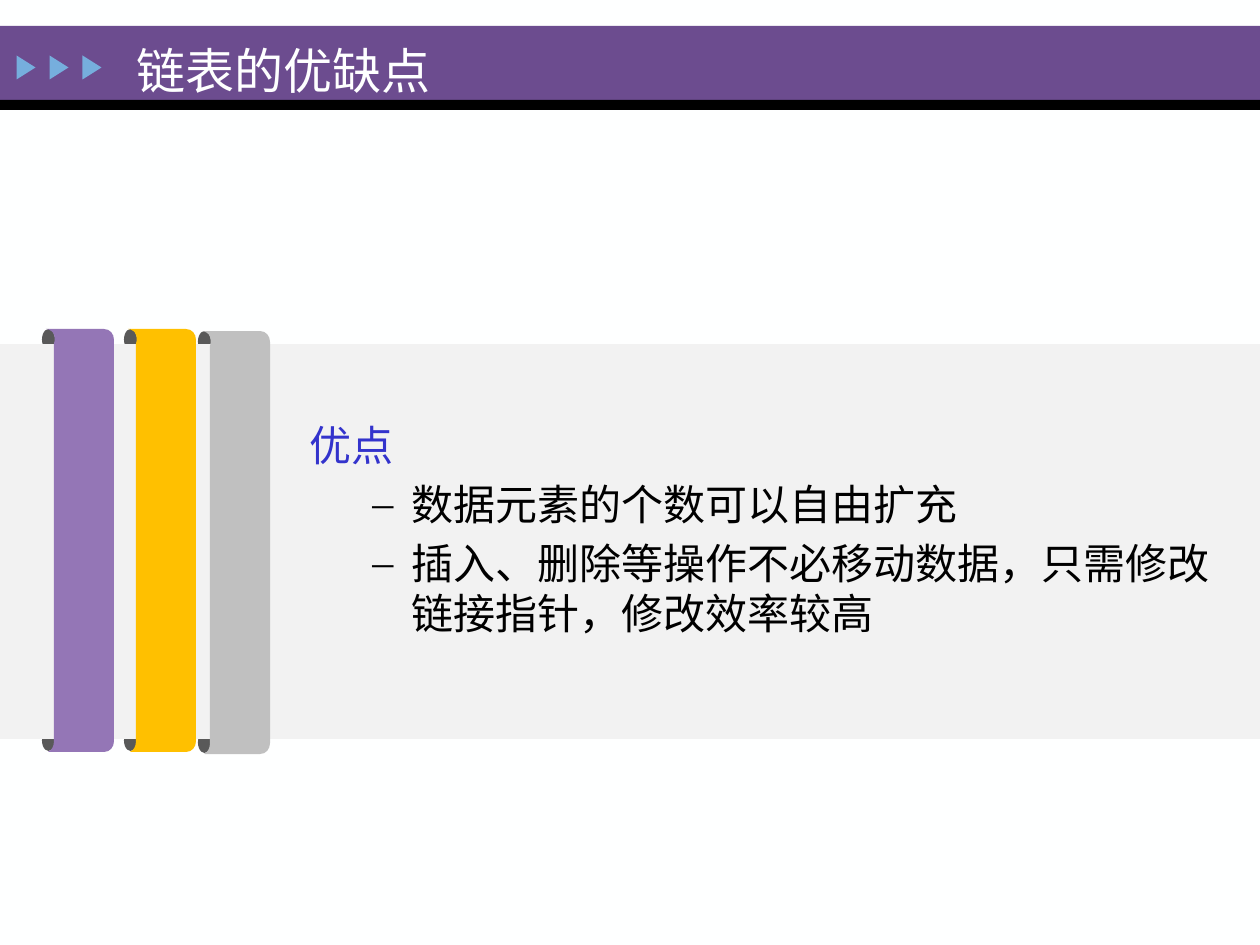
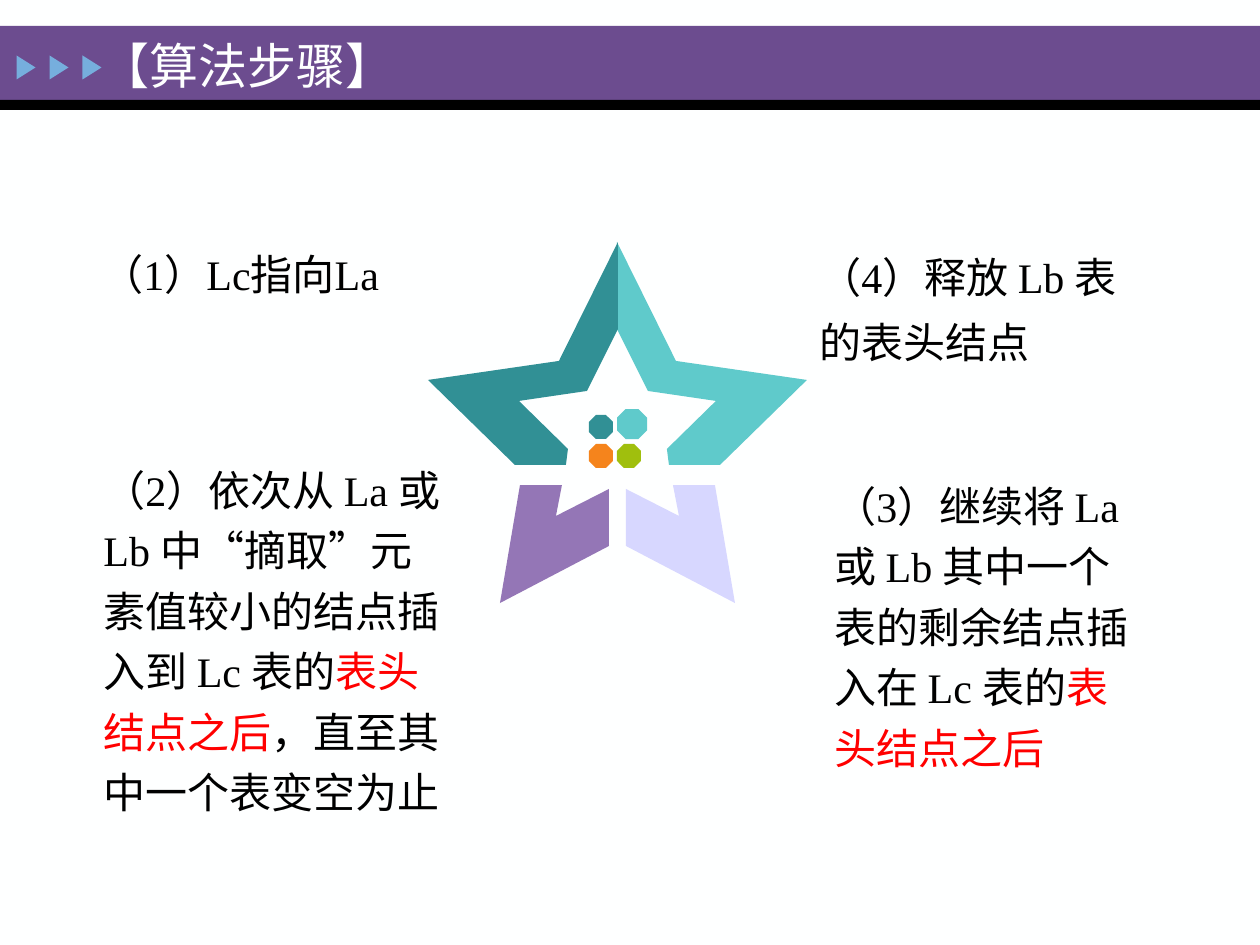
from dataclasses import dataclass

from pptx import Presentation
from pptx.dml.color import RGBColor
from pptx.enum.shapes import MSO_SHAPE as Shape
from pptx.enum.text import MSO_ANCHOR as Anchor, MSO_AUTO_SIZE as AutoSize, PP_ALIGN as Align
from pptx.oxml.ns import qn
from pptx.util import Emu, Pt

PX_PER_INCH = 126
TITLE_ONLY = 5

# Each segment holds one point for a line or three for a cubic curve.
RIBBON = [
    [(9, 15)], [(13, 0), (0, 0), (1, 0)],
    [(59, 0)], [(65, 0), (69, 5), (69, 11)],
    [(69, 412)], [(69, 418), (65, 423), (59, 423)],
    [(4, 423)], [(0, 423), (9, 423), (9, 412)],
]


def px(length):
    return Emu(round(length * 914400 / PX_PER_INCH))


@dataclass(frozen=True)
class Theme:
    font: str = "Times New Roman"
    title_size: int = 28
    body_size: int = 24
    paper: str = "FEFFFF"
    ink: str = "000000"
    band: str = "6C4C8F"
    arrow: str = "76AEDD"
    panel: str = "F2F2F2"
    curl: str = "595959"
    heading: str = "3333CC"
    accent: str = "FF0000"
    purple: str = "9476B6"
    lavender: str = "D7D7FF"
    amber: str = "FFC000"
    silver: str = "C0C0C0"
    aqua: str = "5FCACB"
    teal: str = "319095"
    orange: str = "F5841C"
    green: str = "A0BF0D"


class SlideMaker:
    def __init__(self, theme):
        self.theme = theme
        self.deck = Presentation()
        self.deck.slide_width, self.deck.slide_height = px(1260), px(945)
        self.layout = self.deck.slide_layouts[TITLE_ONLY]
        self.page = None

    def paint(self, shape, color):
        shape.fill.solid()
        shape.fill.fore_color.rgb = RGBColor.from_string(color)
        shape.line.fill.background()
        shape.shadow.inherit = False
        return shape

    def shape(self, kind, left, top, width, height, color):
        box = self.page.shapes.add_shape(kind, px(left), px(top), px(width), px(height))
        return self.paint(box, color)

    def outline(self, points, color):
        corners = [(px(x), px(y)) for x, y in points]
        builder = self.page.shapes.build_freeform(*corners[0], scale=1.0)
        builder.add_line_segments(corners[1:], close=True)
        return self.paint(builder.convert_to_shape(), color)

    def ribbon(self, left, top, color):
        """Draw the ribbon as lines, then join each curve's three lines into one."""
        points = [(left + x, top + y) for segment in RIBBON for x, y in segment]
        band = self.outline(points, color)
        lines = list(band._element.iter(qn("a:lnTo")))
        start = 0
        for segment in RIBBON[1:]:
            group = lines[start:start + len(segment)]
            start += len(segment)
            if len(group) == 3:
                curve = group[0].makeelement(qn("a:cubicBezTo"), {})
                group[0].addprevious(curve)
                for line in group:
                    curve.append(line[0])
                    line.getparent().remove(line)

    def span(self, para, text, color, size=None):
        run = para.add_run()
        run.text = text
        run.font.name = self.theme.font
        run.font.size = Pt(size or self.theme.body_size)
        run.font.color.rgb = RGBColor.from_string(color)

    def textbox(self, left, top, width, height):
        box = self.page.shapes.add_textbox(px(left), px(top), px(width), px(height))
        box.text_frame.word_wrap = True
        return box.text_frame

    def dash_bullet(self, para, margin, hanging):
        properties = para._p.get_or_add_pPr()
        properties.set("lvl", "1")
        properties.set("marL", str(px(margin)))
        properties.set("indent", str(-px(hanging)))
        for tag, attributes in (("a:buFont", {"typeface": self.theme.font}),
                                ("a:buChar", {"char": "–"})):
            properties.append(properties.makeelement(qn(tag), attributes))

    def draw_frame(self):
        """Draw the header band and arrows, then hand them to the layout."""
        fill = self.layout.background.fill
        fill.solid()
        fill.fore_color.rgb = RGBColor.from_string(self.theme.paper)
        parts = [
            self.shape(Shape.RECTANGLE, 0, 26, 1260, 74, self.theme.band),
            self.shape(Shape.RECTANGLE, 0, 100, 1260, 10, self.theme.ink),
        ]
        for index in range(3):
            arrow = self.shape(Shape.ISOSCELES_TRIANGLE, 14 + 33 * index, 58, 24, 19,
                               self.theme.arrow)
            arrow.rotation = 90
            parts.append(arrow)
        for number, part in enumerate(parts, start=20):
            part._element.nvSpPr.cNvPr.set("id", str(number))
            self.layout.shapes._spTree.append(part._element)

    def start_page(self, title, left, top, width, height):
        first = len(self.deck.slides) == 0
        self.page = self.deck.slides.add_slide(self.layout)
        if first:
            self.draw_frame()
        box = self.page.shapes.title
        box.left, box.top, box.width, box.height = map(px, (left, top, width, height))
        frame = box.text_frame
        frame.auto_size = AutoSize.NONE
        frame.vertical_anchor = Anchor.MIDDLE
        para = frame.paragraphs[0]
        para.alignment = Align.LEFT
        self.span(para, title, self.theme.paper, self.theme.title_size)


def add_advantages_page(maker):
    theme = maker.theme
    maker.start_page("链表的优缺点", 124, 23, 719, 94)
    ribbons = [(45, 329, theme.purple), (127, 329, theme.amber), (201, 331, theme.silver)]

    for left, top, _ in ribbons:
        for drop in (0, 401):
            maker.shape(Shape.OVAL, left - 3, top + drop, 13, 21, theme.curl)
    maker.shape(Shape.RECTANGLE, 0, 344, 1260, 395, theme.panel)
    for left, top, color in ribbons:
        maker.ribbon(left, top, color)

    frame = maker.textbox(297, 413, 935, 256)
    maker.span(frame.paragraphs[0], "优点", theme.heading)
    for text in ("数据元素的个数可以自由扩充",
                 "插入、删除等操作不必移动数据，只需修改链接指针，修改效率较高"):
        para = frame.add_paragraph()
        para.space_before = Pt(5)
        maker.dash_bullet(para, margin=102, hanging=39)
        maker.span(para, text, theme.ink)


def add_star(maker):
    theme = maker.theme
    mirror_sum = 1235
    leg = [(626, 489), (626, 546), (735, 603), (715, 485), (673, 485), (679, 516)]
    arm = [(676, 361), (617, 242), (617, 329), (648, 391), (716, 401),
           (667, 449), (669, 465), (720, 465), (807, 380)]
    for half, right_color, left_color in ((leg, theme.lavender, theme.purple),
                                          (arm, theme.aqua, theme.teal)):
        maker.outline(half, right_color)
        maker.outline([(mirror_sum - x, y) for x, y in half], left_color)

    for left, top, size, color in ((589, 415, 24, theme.teal), (617, 409, 30, theme.aqua),
                                   (589, 444, 24, theme.orange), (617, 444, 24, theme.green)):
        dot = maker.shape(Shape.OCTAGON, left, top, size, size, color)
        dot.adjustments[0] = 0.29


def add_steps_page(maker):
    theme = maker.theme
    maker.start_page("【算法步骤】", 88, 23, 530, 83)
    ink, accent = theme.ink, theme.accent
    steps = [
        ((89, 242, 347, 64), None, [("（1）Lc指向La", ink)]),
        ((91, 448, 374, 384), 1.2, [
            ("（2）依次从 La 或 Lb 中“摘取”元素值较小的结点插入到 Lc 表的", ink),
            ("表头结点之后", accent),
            ("，直至其中一个表变空为止", ink)]),
        ((822, 464, 328, 318), 1.2, [
            ("（3）继续将 La 或 Lb 其中一个表的剩余结点插入在 Lc 表的", ink),
            ("表头结点之后", accent)]),
        ((807, 230, 360, 139), 1.3, [("（4）释放 Lb 表的表头结点", ink)]),
    ]
    for place, line_spacing, spans in steps:
        para = maker.textbox(*place).paragraphs[0]
        para.line_spacing = line_spacing
        for text, color in spans:
            maker.span(para, text, color)
    add_star(maker)


def main():
    maker = SlideMaker(Theme())
    add_advantages_page(maker)
    add_steps_page(maker)
    maker.deck.save("out.pptx")


if __name__ == "__main__":
    main()
